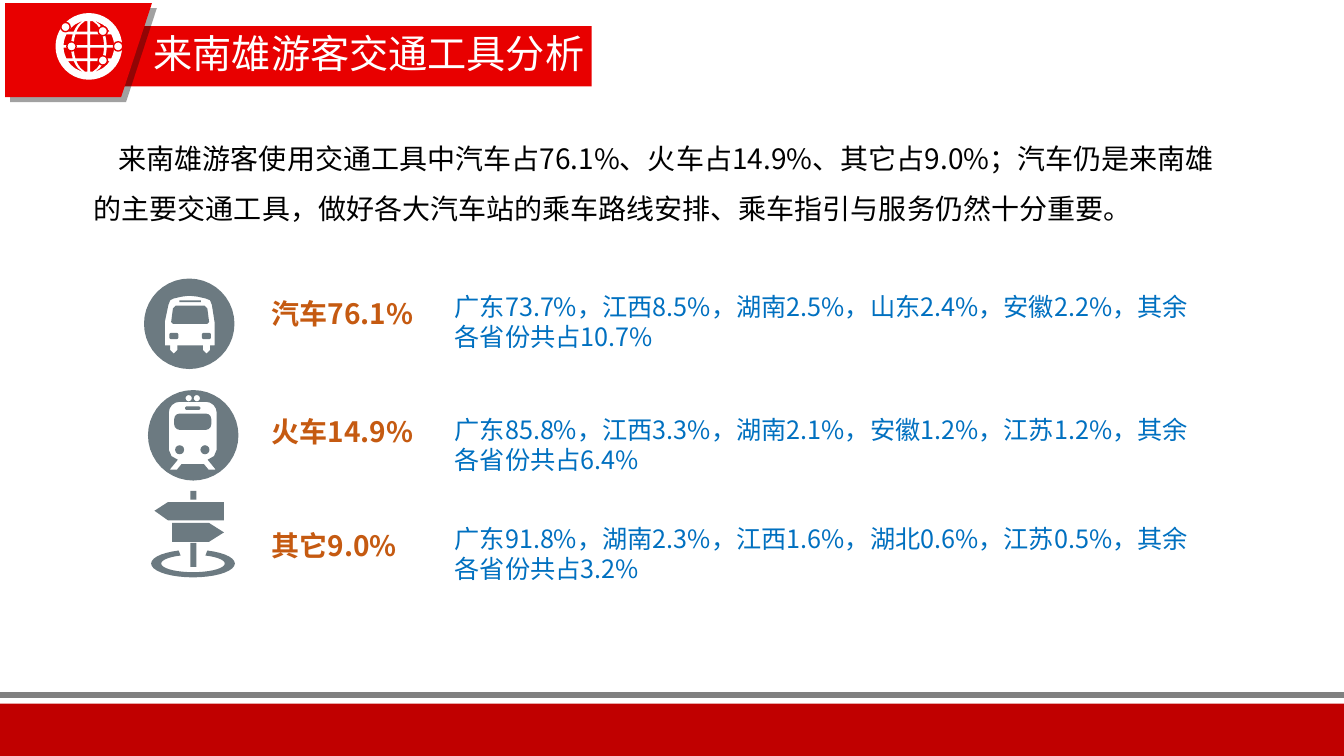
from lxml import etree
from math import cos, radians, sin, sqrt
from pptx import Presentation
from pptx.dml.color import RGBColor
from pptx.enum.shapes import MSO_CONNECTOR, MSO_SHAPE as Shape
from pptx.enum.text import MSO_ANCHOR, MSO_AUTO_SIZE, PP_ALIGN
from pptx.oxml.ns import qn
from pptx.util import Cm, Pt

FONT = "Noto Sans CJK SC"
RED, DARK_RED, WHITE = "E80000", "C00000", "FFFFFF"
SLATE, RUST, BLUE, GRAY, BLACK = "6C7A81", "C55A11", "0070C0", "808080", "000000"
SLIDE_W, SLIDE_H = 33.87, 19.05


def rgb(value):
    return RGBColor.from_string(value)


# Drawing helpers: boxes are (left, top, width, height) in cm
def paint(sp, color):
    sp.shadow.inherit = False
    sp.fill.solid()
    sp.fill.fore_color.rgb = rgb(color)
    sp.line.fill.background()
    return sp


def bar(s, box, color):
    return paint(s.shapes.add_shape(Shape.RECTANGLE, *(Cm(v) for v in box)), color)


def outline(s, box, color, contours):
    """One shape of several contours in fractions of the box; inner ones are holes."""
    x, y, w, h = box
    fb = None
    for contour in contours:
        first, *rest = [(Cm(x + fx * w), Cm(y + fy * h)) for fx, fy in contour]
        if fb is None:
            fb = s.shapes.build_freeform(*first)
        else:
            fb.move_to(*first)
        fb.add_line_segments(rest, close=True)
    return paint(fb.convert_to_shape(), color)


def arc(cx, cy, rx, ry, start=0, end=360, steps=12):
    angles = [radians(start + (end - start) * i / steps) for i in range(steps + 1)]
    return [(cx + rx * cos(a), cy + ry * sin(a)) for a in angles]


def rect(x, y, w, h):
    return [(x, y), (x + w, y), (x + w, y + h), (x, y + h)]


def rounded(x, y, w, h, r):
    corners = ((x + w - r, y + h - r), (x + r, y + h - r), (x + r, y + r), (x + w - r, y + r))
    return [pt for i, (cx, cy) in enumerate(corners)
            for pt in arc(cx, cy, r, r, 90 * i, 90 * i + 90, 3)]


def write(sp, text, size, color, bold=False):
    tf = sp.text_frame
    tf.word_wrap = True
    tf.auto_size = MSO_AUTO_SIZE.NONE
    tf.text = text
    p = tf.paragraphs[0]
    p.alignment = PP_ALIGN.LEFT
    r = p.runs[0]
    r.font.name, r.font.size, r.font.bold = FONT, Pt(size), bold
    r.font.color.rgb = rgb(color)
    etree.SubElement(r.font._element, qn("a:ea")).set("typeface", FONT)
    return p


def fill_placeholder(sp, box, text, size, color):
    sp.element.getparent().append(sp.element)  # bring to front
    sp.left, sp.top, sp.width, sp.height = (Cm(v) for v in box)
    return write(sp, text, size, color)


# Icons
DISC = arc(0.5, 0.5, 0.5, 0.5, steps=40)


def globe_icon(s, box):
    gap = 0.02

    def meridian(i, y):
        return (-1, -0.62, 0, 0.62, 1)[i] * sqrt(max(0.4 ** 2 - y ** 2, 0))

    cells = []
    for top, bottom in ((-0.4, -0.2), (-0.2, 0), (0, 0.2), (0.2, 0.4)):
        ys = [top + gap + (bottom - top - 2 * gap) * k / 3 for k in range(4)]
        for i in range(4):
            left = [(0.5 + meridian(i, y) + gap, 0.5 + y) for y in ys]
            right = [(0.5 + meridian(i + 1, y) - gap, 0.5 + y) for y in ys]
            cells.append(left + right[::-1])
    outline(s, box, WHITE, [DISC] + cells)
    dots = ((0.94, 0.5), (0.71, 0.71), (0.71, 0.27), (0.15, 0.21), (0.24, 0.5))
    nodes = outline(s, box, WHITE, [arc(x, y, 0.07, 0.07) for x, y in dots])
    nodes.line.color.rgb = rgb(RED)
    nodes.line.width = Pt(1)


def bus_icon(s, box):
    body = [(0.23, 0.74), (0.23, 0.48), (0.27, 0.29), (0.29, 0.24), (0.33, 0.22), (0.42, 0.2),
            (0.5, 0.19), (0.59, 0.2), (0.68, 0.22), (0.73, 0.24), (0.75, 0.29), (0.78, 0.48),
            (0.78, 0.74), (0.73, 0.74), (0.73, 0.79), (0.69, 0.83), (0.65, 0.79), (0.65, 0.74),
            (0.37, 0.74), (0.37, 0.79), (0.33, 0.83), (0.29, 0.79), (0.29, 0.74)]
    window = [(0.32, 0.5), (0.3, 0.48), (0.32, 0.33), (0.35, 0.3),
              (0.67, 0.3), (0.7, 0.33), (0.72, 0.48), (0.7, 0.5)]
    lights = [rounded(x, 0.6, 0.1, 0.07, 0.02) for x in (0.28, 0.64)]
    outline(s, box, SLATE, [DISC, body, window, rect(0.39, 0.24, 0.24, 0.02)] + lights)


def train_icon(s, box):
    body = arc(0.35, 0.25, 0.12, 0.12, 180, 270, 4) + arc(0.64, 0.25, 0.12, 0.12, 270, 360, 4)
    body += [(0.76, 0.66), (0.73, 0.73), (0.66, 0.77), (0.75, 0.88), (0.67, 0.88), (0.62, 0.82),
             (0.37, 0.82), (0.32, 0.88), (0.24, 0.88), (0.33, 0.77), (0.26, 0.73), (0.23, 0.66)]
    lamps = [arc(x, 0.09, 0.035, 0.035) for x in (0.45, 0.54)]
    lights = [arc(x, 0.66, 0.05, 0.05) for x in (0.35, 0.63)]
    outline(s, box, SLATE, [DISC, body, rounded(0.29, 0.26, 0.41, 0.18, 0.06),
                            rounded(0.41, 0.18, 0.17, 0.04, 0.02)] + lamps + lights)


def signpost_icon(s, box):
    ring = (arc(0.5, 0.84, 0.5, 0.16, -70, 250, 32) + arc(0.5, 0.84, 0.38, 0.1, 247, -67, 32))
    outline(s, box, SLATE, [
        [(0.04, 0.23), (0.2, 0.13), (0.87, 0.13), (0.87, 0.34), (0.2, 0.34)],
        [(0.25, 0.37), (0.69, 0.37), (0.87, 0.48), (0.69, 0.59), (0.25, 0.59)],
        rect(0.47, 0, 0.07, 0.1), rect(0.47, 0.6, 0.07, 0.28), ring])


# Regions
def header(s, box, title):
    x, y, w, h = box
    bar(s, (x + 2.95, y + 0.58, w - 2.95, 1.52), RED)
    badge = outline(s, (x, y, 3.7, h), RED, [[(0, 0), (1, 0), (0.79, 1), (0, 1)]])
    effects = badge._element.spPr.find(qn("a:effectLst"))
    shadow = etree.SubElement(effects, qn("a:outerShdw"), dist="63500", dir="2700000",
                              algn="tl", rotWithShape="0")
    tint = etree.SubElement(shadow, qn("a:srgbClr"), val="0D0D0D")
    etree.SubElement(tint, qn("a:alpha"), val="39000")
    globe_icon(s, (x + 1.27, y + 0.25, 1.68, 1.68))
    sp = s.shapes.title
    p = fill_placeholder(sp, (x + 3.49, y + 0.83, 13.08, 0.99), title, 28, WHITE)
    p.line_spacing = 0.9
    sp.text_frame.vertical_anchor = MSO_ANCHOR.MIDDLE


def summary(s, box, text):
    p = fill_placeholder(s.placeholders[1], box, text, 20, BLACK)
    pPr = p._p.get_or_add_pPr()
    pPr.set("marL", "0")
    pPr.set("indent", str(Cm(0.63)))
    etree.SubElement(pPr, qn("a:buNone"))
    p.line_spacing = 1.5
    p.space_before = Pt(0)


def transport_row(s, box, icon, icon_box, label, label_dy, detail):
    x, y, w, h = box
    dx, dy, icon_w, icon_h = icon_box
    icon(s, (x + dx, y + dy, icon_w, icon_h))
    label_box, detail_box = (x + 2.96, y + label_dy, 5.33, 1.12), (x + 7.58, y, w - 7.58, h)
    for cell, text, size, color, bold in ((label_box, label, 20, RUST, True),
                                          (detail_box, detail, 18, BLUE, False)):
        sp = s.shapes.add_textbox(*(Cm(v) for v in cell))
        write(sp, text, size, color, bold)


def footer(s, box):
    x, y, w, h = box
    bar(s, (x, y + 0.21, w, h - 0.21), DARK_RED)
    rule = s.shapes.add_connector(MSO_CONNECTOR.STRAIGHT, Cm(x), Cm(y), Cm(x + w), Cm(y))
    rule.line.color.rgb = rgb(GRAY)
    rule.line.width = Pt(4.5)
    etree.SubElement(rule._element.spPr, qn("a:effectLst"))


ROWS = [
    (7.22, bus_icon, (0, -0.2, 2.28, 2.28), "汽车76.1%", 0.12,
     "广东73.7%，江西8.5%，湖南2.5%，山东2.4%，安徽2.2%，其余各省份共占10.7%"),
    (10.31, train_icon, (0.1, -0.48, 2.28, 2.28), "火车14.9%", 0.01,
     "广东85.8%，江西3.3%，湖南2.1%，安徽1.2%，江苏1.2%，其余各省份共占6.4%"),
    (13.06, signpost_icon, (0.18, -0.69, 2.11, 2.18), "其它9.0%", 0.13,
     "广东91.8%，湖南2.3%，江西1.6%，湖北0.6%，江苏0.5%，其余各省份共占3.2%"),
]


def main():
    prs = Presentation()
    prs.slide_width, prs.slide_height = Cm(SLIDE_W), Cm(SLIDE_H)
    s = prs.slides.add_slide(prs.slide_layouts[1])
    footer(s, (0, 17.52, SLIDE_W, SLIDE_H - 17.52))
    header(s, (0.13, 0.08, 14.78, 2.37), "来南雄游客交通工具分析")
    summary(s, (2.11, 3.01, 29.21, 3.05),
            "来南雄游客使用交通工具中汽车占76.1%、火车占14.9%、其它占9.0%；"
            "汽车仍是来南雄的主要交通工具，做好各大汽车站的乘车路线安排、乘车指引与服务仍然十分重要。")
    for top, *row in ROWS:
        transport_row(s, (3.63, top, 26.89, 1.8), *row)
    prs.save("out.pptx")


if __name__ == "__main__":
    main()
